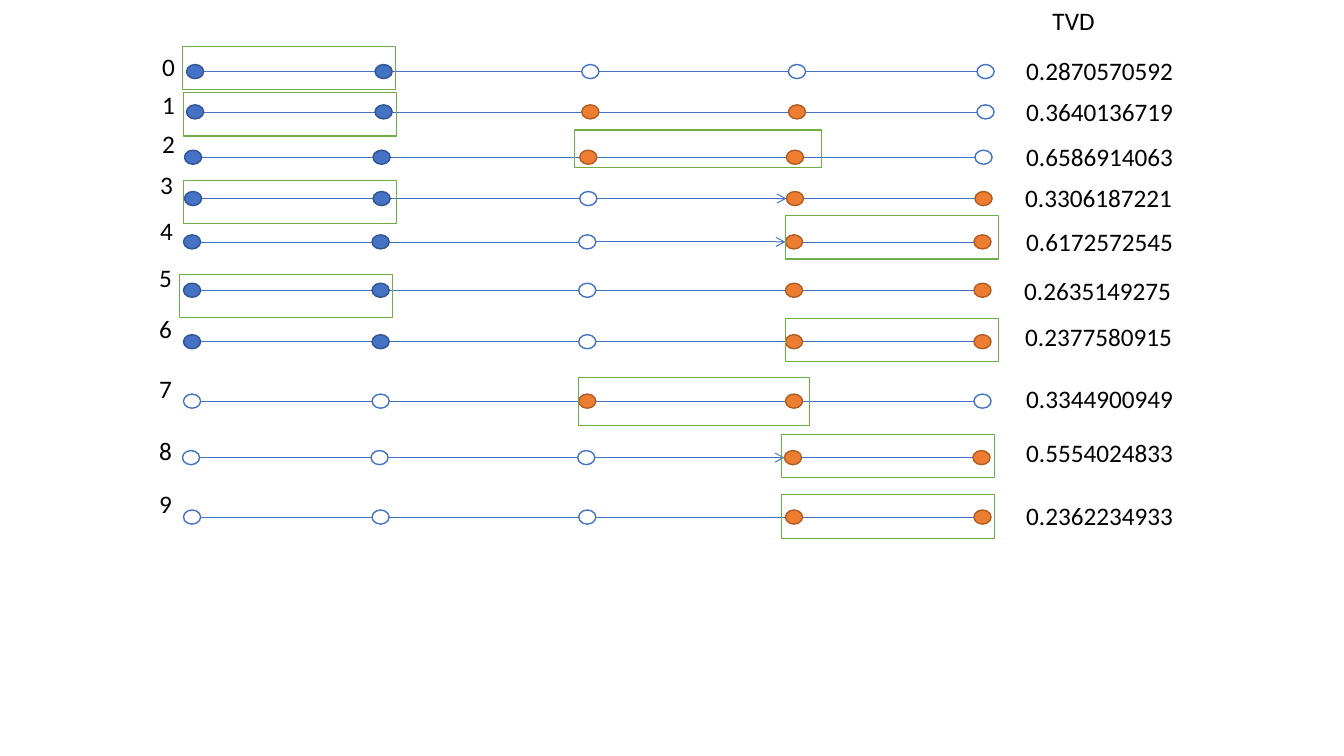
from collections import namedtuple

from lxml import etree
from pptx import Presentation
from pptx.dml.color import RGBColor
from pptx.enum.shapes import MSO_CONNECTOR, MSO_SHAPE
from pptx.enum.text import MSO_ANCHOR, MSO_AUTO_SIZE, PP_ALIGN
from pptx.oxml.ns import qn
from pptx.util import Inches, Pt

OVAL, RECT = MSO_SHAPE.OVAL, MSO_SHAPE.RECTANGLE
STRAIGHT = MSO_CONNECTOR.STRAIGHT
TOP, LEFT = MSO_ANCHOR.TOP, PP_ALIGN.LEFT
FIT = MSO_AUTO_SIZE.SHAPE_TO_FIT_TEXT

COLORS = {
    "blue": "4472C4", "dark blue": "325491", "orange": "ED7D31",
    "dark orange": "AF5C24", "green": "70AD47", "white": "FFFFFF",
    "black": "000000",
}
NODE_STYLES = {
    "B": ("blue", "dark blue"),
    "O": ("orange", "dark orange"),
    "W": ("white", "blue"),
}

COLS, ROWS = 133.3, 75
NODE_W, NODE_H = 1.7, 1.4
NODE_COLS = (0, 18.7, 39.2, 59.7, 78.4)
ARROW_LINK = 2
TEXT_H = 4

Step = namedtuple("Step", "x y nodes arrow label value frame")
STEPS = [
    Step(18.5, 7.1, "BBWWW", False, (15.1, 4.6),
         ("0.2870570592", 100.8, 5), (18.1, 4.6, 21.1, 4.3)),
    Step(18.5, 11.1, "BBOOW", False, (15.1, 8.4),
         ("0.3640136719", 100.8, 9.1), (18.2, 9.2, 21.1, 4.3)),
    Step(18.3, 15.6, "BBOOW", False, (15.1, 12.2),
         ("0.6586914063", 100.8, 13.5), (57, 12.9, 24.5, 3.7)),
    Step(18.3, 19.7, "BBWOO", True, (14.9, 16.3),
         ("0.3306187221", 100.7, 17.6), (18.2, 17.9, 21.1, 4.3)),
    Step(18.2, 24, "BBWOO", True, (14.9, 20.9),
         ("0.6172572545", 100.8, 22), (77.9, 21.4, 21.1, 4.3)),
    Step(18.2, 28.8, "BBWOO", False, (14.8, 25.5),
         ("0.2635149275", 100.6, 26.8), (17.8, 27.2, 21.1, 4.3)),
    Step(18.2, 33.9, "BBWOO", False, (14.8, 30.6),
         ("0.2377580915", 100.7, 31.4), (77.9, 31.6, 21.1, 4.3)),
    Step(18.2, 39.8, "WWOOW", False, (14.8, 36.5),
         ("0.3344900949", 100.8, 37.5), (57.4, 37.5, 22.9, 4.7)),
    Step(18.1, 45.4, "WWWOO", True, (14.8, 42.7),
         ("0.5554024833", 100.8, 42.9), (77.5, 43.1, 21.1, 4.3)),
    Step(18.2, 51.3, "WWWOO", False, (14.8, 48),
         ("0.2362234933", 100.8, 49.1), (77.5, 49.1, 21.1, 4.3)),
]


def grid(*cells):
    return [Inches(c / 10) for c in cells]


def color(name):
    return RGBColor.from_string(COLORS[name])


def add_outline(slide, kind, box, fill, line, width):
    s = slide.shapes.add_shape(kind, *grid(*box))
    s.shadow.inherit = False
    if fill:
        s.fill.solid()
        s.fill.fore_color.rgb = color(fill)
    else:
        s.fill.background()
    s.line.color.rgb = color(line)
    s.line.width = Pt(width)


def add_link(slide, x1, x2, y, arrow):
    c = slide.shapes.add_connector(STRAIGHT, *grid(x1, y, x2, y))
    c.line.color.rgb = color("blue")
    c.line.width = Pt(0.75 if arrow else 0.5)
    if arrow:
        etree.SubElement(c.line._get_or_add_ln(), qn("a:tailEnd"), type="arrow")
    etree.SubElement(c._element.spPr, qn("a:effectLst"))


def add_text(slide, text, x, y, w, h=TEXT_H):
    tf = slide.shapes.add_textbox(*grid(x, y, w, h)).text_frame
    tf.word_wrap = False
    tf.auto_size = FIT
    tf.vertical_anchor = TOP
    p = tf.paragraphs[0]
    p.text = text
    p.alignment = LEFT
    p.font.name = "Calibri"
    p.font.size = Pt(18)
    p.font.color.rgb = color("black")


def add_chain(slide, step):
    last = len(NODE_COLS) - 2
    for i, (a, b) in enumerate(zip(NODE_COLS, NODE_COLS[1:])):
        start = step.x + a + (NODE_W if i else 0)
        end = step.x + b + (NODE_W if i == last else 0)
        add_link(slide, start, end, step.y, step.arrow and i == ARROW_LINK)
    for col, node in zip(NODE_COLS, step.nodes):
        box = (step.x + col, step.y - NODE_H / 2, NODE_W, NODE_H)
        add_outline(slide, OVAL, box, *NODE_STYLES[node], 1)


def main():
    prs = Presentation()
    prs.slide_width, prs.slide_height = grid(COLS, ROWS)
    slide = prs.slides.add_slide(prs.slide_layouts[6])
    add_text(slide, "TVD", 103.4, 0, 6.2, 7.1)
    for number, step in enumerate(STEPS):
        add_chain(slide, step)
        add_text(slide, str(number), *step.label, 3.3)
        add_text(slide, *step.value, 16.7)
        add_outline(slide, RECT, step.frame, None, "green", 0.75)
    prs.save("out.pptx")


if __name__ == "__main__":
    main()
